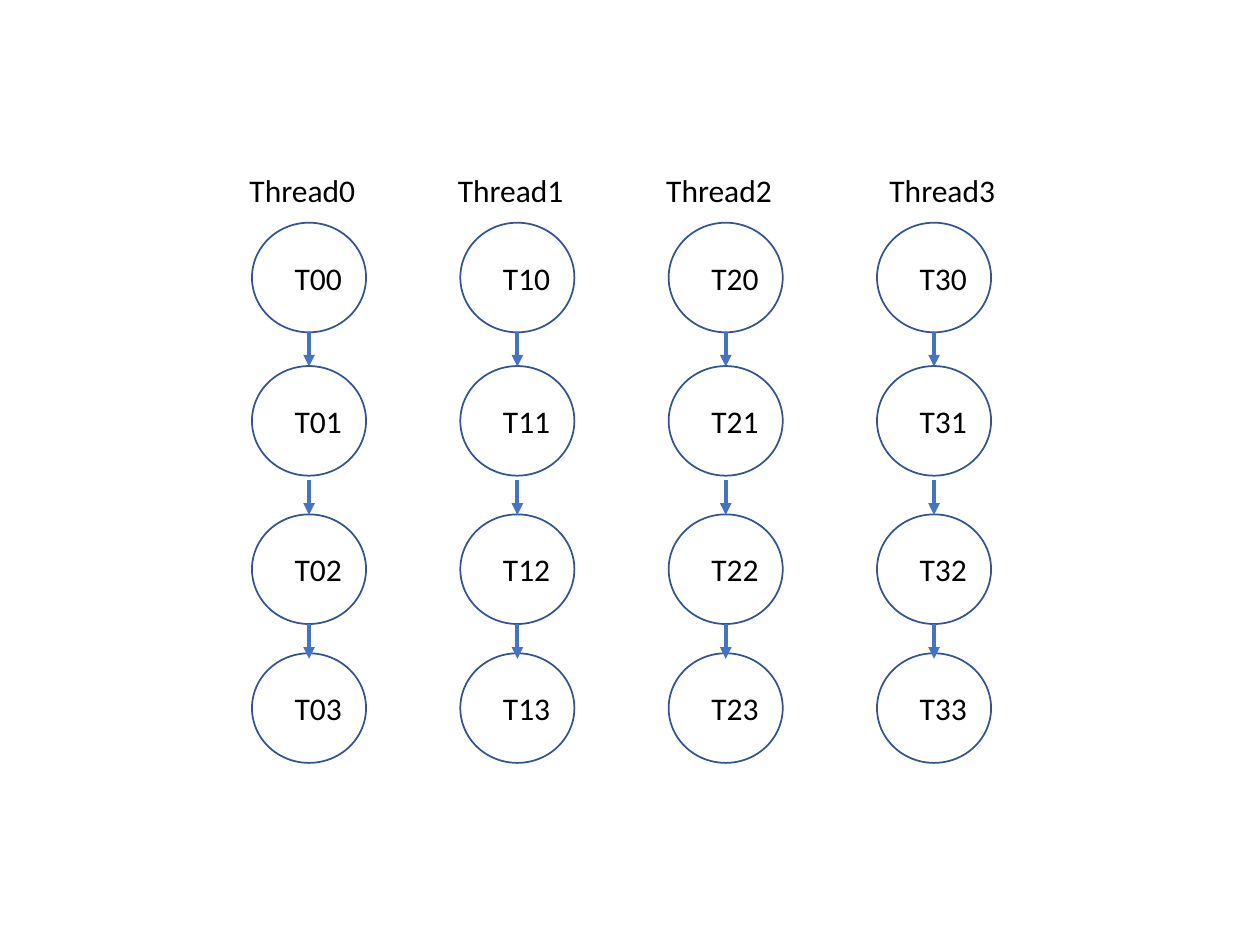
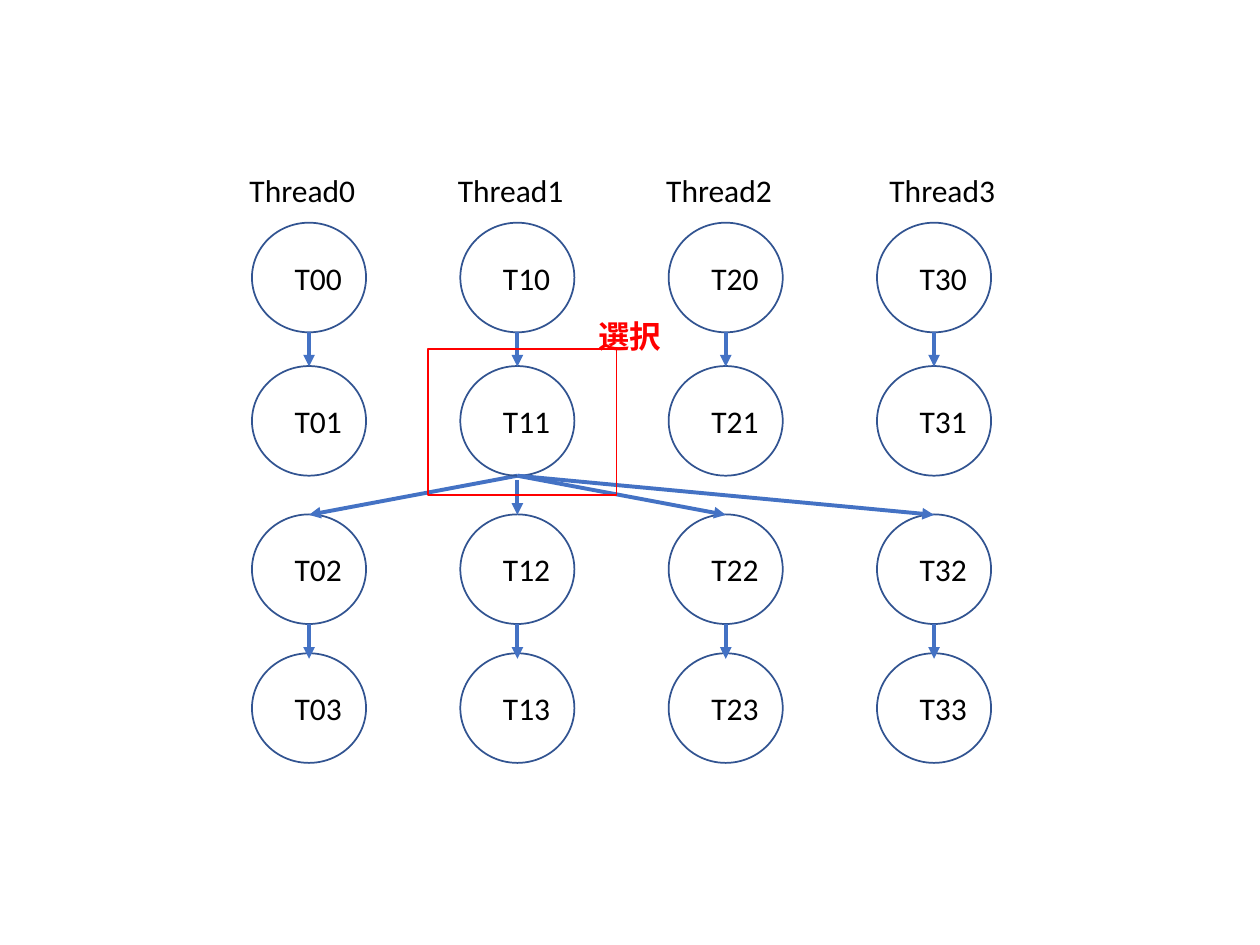
from lxml.etree import SubElement
from pptx import Presentation
from pptx.dml.color import RGBColor
from pptx.enum.shapes import MSO_CONNECTOR, MSO_SHAPE
from pptx.enum.text import MSO_AUTO_SIZE
from pptx.oxml.ns import qn
from pptx.util import Cm, Pt

# Content: one column of tasks per thread; a selected task feeds all threads
THREADS = ["Thread0", "Thread1", "Thread2", "Thread3"]
STEPS = 4
SLIDES = [
    {"selected": None},
    {"selected": {"thread": 1, "step": 1, "caption": "選択"}},
]

# Shared look
FONT, FONT_SIZE = "Calibri", 18
BLACK, RED, OUTLINE, ARROW = "000000", "FF0000", "325491", "4472C4"

# Geometry in centimetres
COLUMN_LEFT, COLUMN_PITCH = 5.08, 4.2
NODE_TOPS = [4.49, 7.38, 10.37, 13.17]
NODE_WIDTH, NODE_HEIGHT = 2.3, 2.21
ARROW_TOPS, ARROW_LENGTH = [6.69, 9.68, 12.58], 0.7
HEADING_LEFTS = [4.78, 8.98, 13.18, 17.68]
HEADING_TOP = 3.33
TEXT_HEIGHT = 1.02


def colour(code):
    """Turn a hex string into a colour."""
    return RGBColor.from_string(code)


def column_left(thread):
    """Left edge of the circles of a thread."""
    return COLUMN_LEFT + thread * COLUMN_PITCH


def column_middle(thread):
    """Centre line of a thread."""
    return column_left(thread) + NODE_WIDTH / 2


def add_text(shapes, text, left, top, width, code=BLACK, bold=None):
    """Add a one-line text box."""
    box = shapes.add_textbox(Cm(left), Cm(top), Cm(width), Cm(TEXT_HEIGHT))
    frame = box.text_frame
    frame.word_wrap = True
    frame.auto_size = MSO_AUTO_SIZE.SHAPE_TO_FIT_TEXT
    span = frame.paragraphs[0].add_run()
    span.text = text
    span.font.name, span.font.size = FONT, Pt(FONT_SIZE)
    span.font.bold = bold
    span.font.color.rgb = colour(code)


def add_outline(shapes, kind, left, top, width, height, code):
    """Add an unfilled preset shape with a thin line."""
    shape = shapes.add_shape(kind, Cm(left), Cm(top), Cm(width), Cm(height))
    shape.shadow.inherit = False
    shape.fill.background()
    shape.line.color.rgb = colour(code)
    shape.line.width = Pt(1)


def add_arrow(page, start, end):
    """Add a straight arrow between two points."""
    arrow = page.shapes.add_connector(
        MSO_CONNECTOR.STRAIGHT, *[Cm(value) for value in (*start, *end)])
    arrow.line.color.rgb = colour(ARROW)
    arrow.line.width = Pt(2.25)
    SubElement(arrow.line._get_or_add_ln(), qn("a:tailEnd"), type="triangle")
    SubElement(arrow._element.spPr, qn("a:effectLst"))


def add_node(page, thread, step):
    """Add a task circle grouped with its name."""
    group = page.shapes.add_group_shape()
    left, top = column_left(thread), NODE_TOPS[step]
    add_outline(group.shapes, MSO_SHAPE.OVAL, left, top,
                NODE_WIDTH, NODE_HEIGHT, OUTLINE)
    add_text(group.shapes, f"T{thread}{step}", left + 0.61, top + 0.6, 2.44)


def add_step_arrow(page, thread, step, selected):
    """Link a task to the next one, or the selected task to this thread."""
    middle, top = column_middle(thread), ARROW_TOPS[step]
    start, end = (middle, top), (middle, top + ARROW_LENGTH)
    if selected and step == selected["step"] and thread != selected["thread"]:
        start = (column_middle(selected["thread"]), NODE_TOPS[step] + NODE_HEIGHT)
    add_arrow(page, start, end)


def mark_selected(page, selected):
    """Frame the selected task in red and caption it."""
    left = column_left(selected["thread"])
    top = NODE_TOPS[selected["step"]]
    add_outline(page.shapes, MSO_SHAPE.RECTANGLE, left - 0.65, top - 0.35,
                3.8, 2.95, RED)
    add_text(page.shapes, selected["caption"], left + 2.53, top - 1.11, 3.02,
             RED, True)


def build_slide(deck, selected):
    """Draw the thread diagram on a blank page."""
    page = deck.slides.add_slide(deck.slide_layouts[6])
    for thread, name in enumerate(THREADS):
        for step in range(STEPS):
            add_node(page, thread, step)
        for step in range(STEPS - 1):
            add_step_arrow(page, thread, step, selected)
        add_text(page.shapes, name, HEADING_LEFTS[thread], HEADING_TOP, 2.92)
    if selected:
        mark_selected(page, selected)


deck = Presentation()
deck.slide_width, deck.slide_height = Cm(25.4), Cm(19.05)
for content in SLIDES:
    build_slide(deck, content["selected"])
deck.save("out.pptx")
